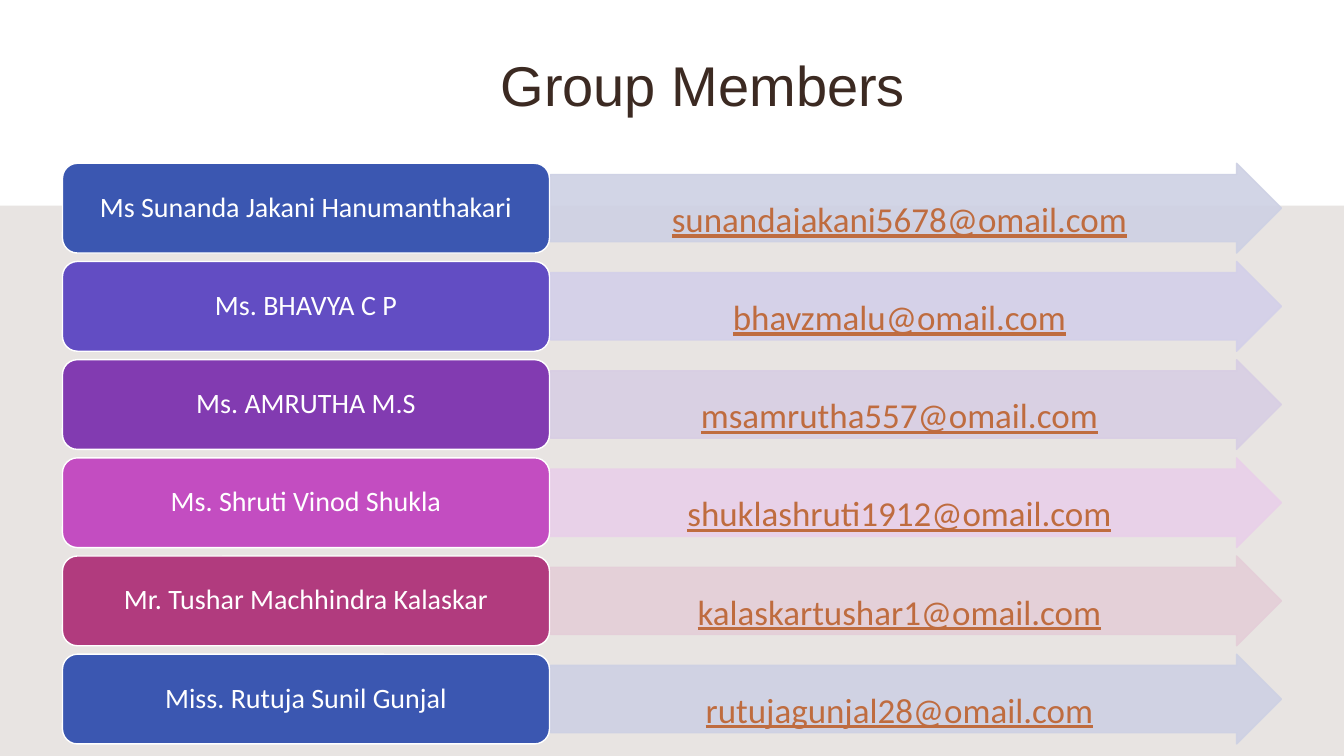
from lxml import etree
from pptx import Presentation
from pptx.dml.color import RGBColor
from pptx.enum.shapes import MSO_SHAPE
from pptx.enum.text import MSO_ANCHOR, PP_ALIGN
from pptx.oxml.ns import qn
from pptx.util import Inches, Pt

WHITE = RGBColor(0xFF, 0xFF, 0xFF)
BROWN = RGBColor(0x3C, 0x2A, 0x22)
STONE = RGBColor(0xE8, 0xE4, 0xE2)
RUST = RGBColor(0xBF, 0x6C, 0x3F)
BLUE, PALE_BLUE = RGBColor(0x3B, 0x57, 0xB1), RGBColor(0xCE, 0xD1, 0xE4)
INDIGO, PALE_INDIGO = RGBColor(0x62, 0x4D, 0xC3), RGBColor(0xD3, 0xD0, 0xE9)
PURPLE, PALE_PURPLE = RGBColor(0x82, 0x3B, 0xB1), RGBColor(0xD8, 0xCE, 0xE4)
ORCHID, PALE_ORCHID = RGBColor(0xC3, 0x4D, 0xC1), RGBColor(0xE9, 0xD0, 0xE9)
BERRY, PALE_BERRY = RGBColor(0xB1, 0x3B, 0x7E), RGBColor(0xE4, 0xCE, 0xD8)

MEMBERS = [
    ("Ms Sunanda Jakani Hanumanthakari", "sunandajakani5678@omail.com", BLUE, PALE_BLUE),
    ("Ms. BHAVYA C P", "bhavzmalu@omail.com", INDIGO, PALE_INDIGO),
    ("Ms. AMRUTHA M.S", "msamrutha557@omail.com", PURPLE, PALE_PURPLE),
    ("Ms. Shruti Vinod Shukla", "shuklashruti1912@omail.com", ORCHID, PALE_ORCHID),
    ("Mr. Tushar Machhindra Kalaskar", "kalaskartushar1@omail.com", BERRY, PALE_BERRY),
    ("Miss. Rutuja Sunil Gunjal", "rutujagunjal28@omail.com", BLUE, PALE_BLUE),
]
FIRST_TOP, ROW_STEP, ROW_HEIGHT = 1.62, 0.974, 0.89

deck = Presentation()
deck.slide_width, deck.slide_height = Inches(13.33), Inches(7.5)
slide = deck.slides.add_slide(deck.slide_layouts[5])


def add_block(preset, left, top, width, height, fill, outline=None):
    block = slide.shapes.add_shape(
        preset, Inches(left), Inches(top), Inches(width), Inches(height))
    block.shadow.inherit = False
    block.fill.solid()
    block.fill.fore_color.rgb = fill
    if outline is None:
        block.line.fill.background()
    else:
        block.line.color.rgb = outline
        block.line.width = Pt(1)
    return block


def write(frame, words, anchor, spacing, **font):
    frame.word_wrap = True
    frame.vertical_anchor = anchor
    paragraph = frame.paragraphs[0]
    paragraph.alignment = PP_ALIGN.CENTER
    paragraph.line_spacing = spacing
    run = paragraph.add_run()
    run.text = words
    run.font.color.rgb = font.pop("color")
    for attribute, value in font.items():
        setattr(run.font, attribute, value)


# Backdrop, behind the title
backdrop = add_block(MSO_SHAPE.RECTANGLE, 0, 0, 13.33, 7.5, WHITE)
lower_band = add_block(MSO_SHAPE.RECTANGLE, 0, 2.04, 13.33, 5.46, STONE)

title = slide.shapes.title
title.left, title.top = Inches(1.86), Inches(0.29)
title.width, title.height = Inches(10.22), Inches(1.09)
write(title.text_frame, "Group Members", MSO_ANCHOR.MIDDLE, 1.0,
      name="Arial", size=Pt(40), color=BROWN)
backdrop._element.addnext(title._element)

# One row per member: an arrow with the address, then the name
for row, (name, address, color, pale) in enumerate(MEMBERS):
    top = FIRST_TOP + row * ROW_STEP

    arrow = add_block(MSO_SHAPE.RIGHT_ARROW, 5.46, top, 7.25, ROW_HEIGHT, pale, pale)
    arrow.adjustments[0], arrow.adjustments[1] = 0.75, 0.5
    for tint in arrow._element.spPr.iter(qn("a:srgbClr")):
        etree.SubElement(tint, qn("a:alpha"), val="90000")

    address_box = slide.shapes.add_textbox(
        Inches(5.46), Inches(top + 0.11), Inches(6.92), Inches(0.66))
    for side in ("left", "right", "top", "bottom"):
        setattr(address_box.text_frame, f"margin_{side}", Inches(0.02))
    write(address_box.text_frame, address, MSO_ANCHOR.TOP, 1.5,
          name="Calibri", size=Pt(25), underline=True, color=RUST)

    name_card = add_block(MSO_SHAPE.ROUNDED_RECTANGLE, 0.62, top, 4.83, ROW_HEIGHT,
                          color, WHITE)
    write(name_card.text_frame, name, MSO_ANCHOR.MIDDLE, 0.9,
          name="Calibri", size=Pt(20), color=WHITE)

deck.save("out.pptx")
